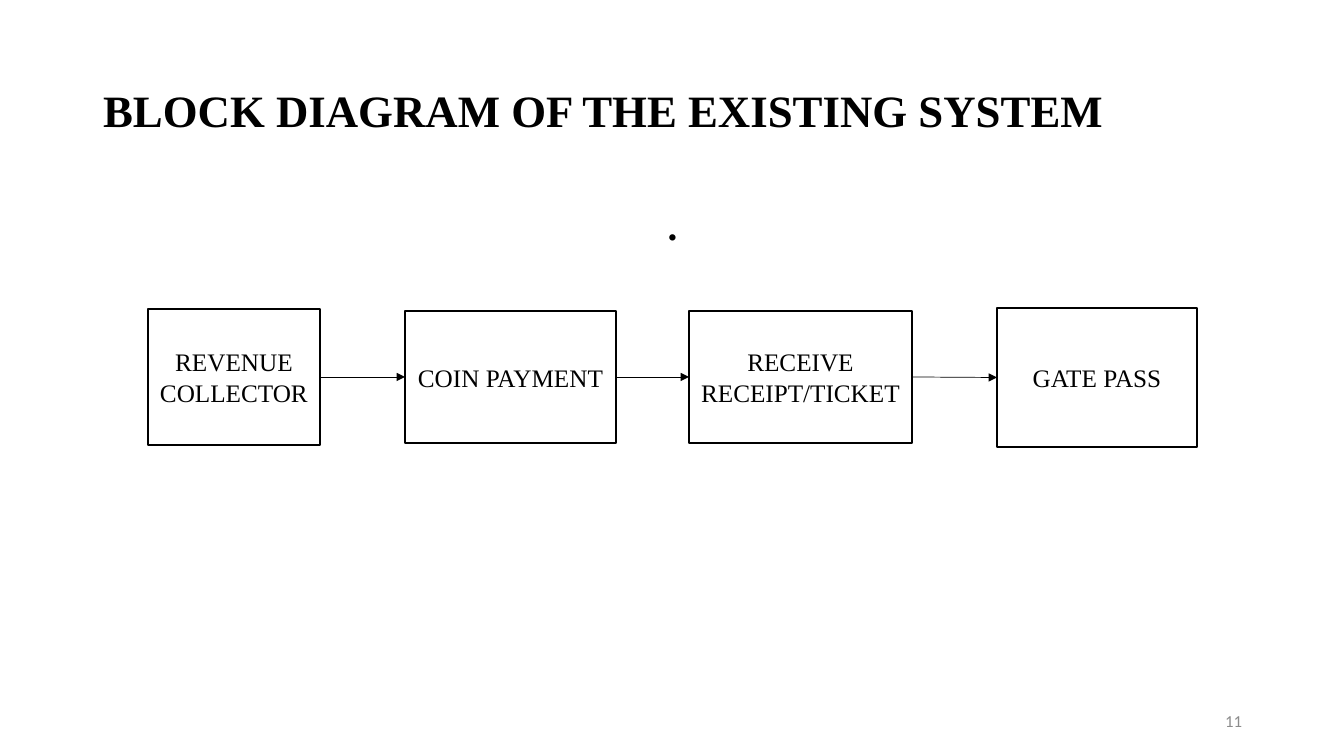
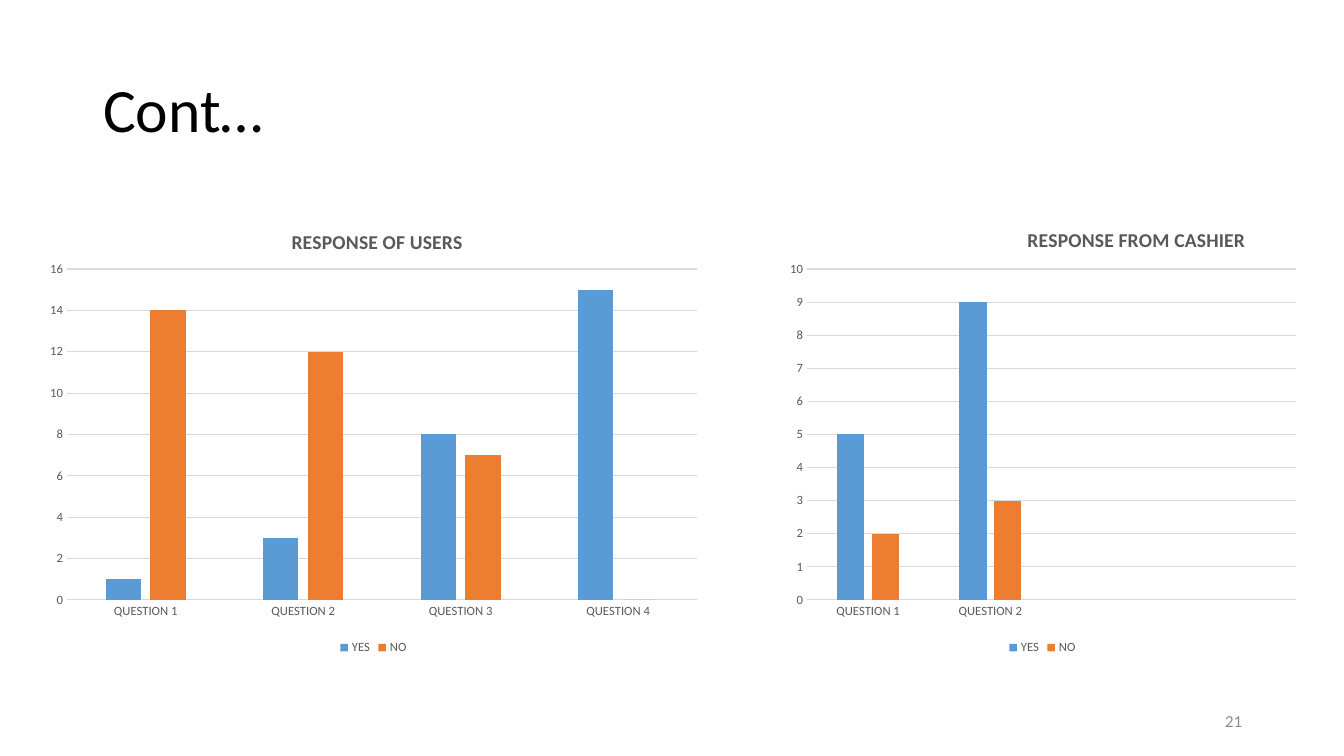
from itertools import pairwise

from lxml.etree import SubElement
from pptx import Presentation
from pptx.chart.data import CategoryChartData
from pptx.dml.color import RGBColor
from pptx.enum.chart import XL_CHART_TYPE as ChartType
from pptx.enum.chart import XL_LEGEND_POSITION as LegendPosition
from pptx.enum.chart import XL_TICK_MARK as TickMark
from pptx.enum.shapes import MSO_CONNECTOR as Connector
from pptx.enum.shapes import MSO_SHAPE as Shape
from pptx.enum.text import MSO_ANCHOR as Anchor
from pptx.enum.text import PP_ALIGN as Align
from pptx.oxml.ns import qn
from pptx.util import Emu, Pt

# Shared style
PX = 914400 / 100.8
SANS, SERIF = "Calibri", "Times New Roman"
BLACK, WHITE = "000000", "FFFFFF"
CHART_TEXT, GRID, NUMBER_GREY = "595959", "D9D9D9", "8C8C8C"
SERIES_COLORS = ["5B9BD5", "ED7D31"]
RIGHT_SITE, LEFT_SITE = 3, 1

color = RGBColor.from_string


def px(*lengths):
    return [Emu(round(length * PX)) for length in lengths]


def write(shape, text, size, font, ink=BLACK, bold=False, align=Align.LEFT,
          anchor=Anchor.MIDDLE, spacing=1.0):
    frame = shape.text_frame
    frame.word_wrap = True
    frame.vertical_anchor = anchor
    para = frame.paragraphs[0]
    para.alignment = align
    para.line_spacing = spacing
    span = para.add_run()
    span.text = text
    span.font.size = Pt(size)
    span.font.name = font
    span.font.bold = bold
    span.font.color.rgb = color(ink)


deck = Presentation()
deck.slide_width, deck.slide_height = px(1344, 756)

# Pages with title and number
pages = []
for heading, size, font, bold, number in [
    ("BLOCK DIAGRAM OF THE EXISTING SYSTEM", 32, SERIF, True, "11"),
    ("Cont…", 44, SANS, False, "21"),
]:
    page = deck.slides.add_slide(deck.slide_layouts[5])
    title = page.shapes.title
    title.left, title.top, title.width, title.height = px(93, 40, 1159, 146)
    write(title, heading, size, font, bold=bold, spacing=0.9)
    number_box = page.shapes.add_textbox(*px(950, 701, 302, 40))
    write(number_box, number, 12, SANS, NUMBER_GREY, align=Align.RIGHT)
    pages.append(page)
diagram_page, chart_page = pages

# Body text above the diagram
body = diagram_page.shapes.add_textbox(*px(93, 202, 1159, 60))
write(body, ".", 28, SERIF, bold=True, align=Align.CENTER,
      anchor=Anchor.TOP, spacing=0.9)

# Block diagram: boxes centred on one line
MIDDLE = 377
boxes = []
for label, left, width, height in [
    ("REVENUE COLLECTOR", 148, 172, 136),
    ("COIN PAYMENT", 405, 211, 132),
    ("RECEIVE RECEIPT/TICKET", 689, 223, 132),
    ("GATE PASS", 997, 200, 139),
]:
    box = diagram_page.shapes.add_shape(
        Shape.RECTANGLE, *px(left, MIDDLE - height // 2, width, height))
    box.shadow.inherit = False
    box.fill.solid()
    box.fill.fore_color.rgb = color(WHITE)
    box.line.color.rgb = color(BLACK)
    box.line.width = Pt(1)
    write(box, label, 18, SERIF, align=Align.CENTER)
    boxes.append(box)

# Arrows from each box to the next
for source, target in pairwise(boxes):
    arrow = diagram_page.shapes.add_connector(Connector.STRAIGHT, 0, 0, 0, 0)
    arrow.begin_connect(source, RIGHT_SITE)
    arrow.end_connect(target, LEFT_SITE)
    arrow.line.color.rgb = color(BLACK)
    arrow.line.width = Pt(0.5)
    properties = arrow._element.spPr
    SubElement(properties.find(qn("a:ln")), qn("a:tailEnd"), type="triangle")
    SubElement(properties, qn("a:effectLst"))

# Charts
CHART_TOP, CHART_HEIGHT = 205, 454
PLOT_TOP, PLOT_HEIGHT = 269, 331
for heading, left, width, title_at, plot_left, plot_width, top, step, cats, yes, no in [
    ("RESPONSE OF USERS", 37, 673, (288, 225), 67, 630, 16, 2,
     ["QUESTION 1", "QUESTION 2", "QUESTION 3", "QUESTION 4"],
     [1, 3, 8, 15], [14, 12, 7, 0]),
    ("RESPONSE FROM CASHIER", 778, 529, (1024, 223), 807, 489, 10, 1,
     ["QUESTION 1", "QUESTION 2", "", ""],
     [5, 9, None, None], [2, 3, None, None]),
]:
    data = CategoryChartData()
    data.categories = cats
    data.add_series("YES", yes)
    data.add_series("NO", no)
    chart = chart_page.shapes.add_chart(
        ChartType.COLUMN_CLUSTERED,
        *px(left, CHART_TOP, width, CHART_HEIGHT), data).chart
    chart.font.name = SANS
    chart.font.size = Pt(9)
    chart.font.color.rgb = color(CHART_TEXT)
    chart.has_title = True
    write(chart.chart_title, heading, 14, SANS, CHART_TEXT, bold=True,
          align=Align.CENTER)
    chart.has_legend = True
    chart.legend.position = LegendPosition.BOTTOM
    chart.legend.include_in_layout = False

    # Columns
    plot = chart.plots[0]
    plot.gap_width = 219
    plot.overlap = -27
    plot.vary_by_categories = False
    for series, ink in zip(plot.series, SERIES_COLORS):
        series.format.fill.solid()
        series.format.fill.fore_color.rgb = color(ink)

    # Axes
    values = chart.value_axis
    values.minimum_scale, values.maximum_scale = 0, top
    values.major_unit = step
    values.format.line.fill.background()
    for axis in (chart.category_axis, values):
        axis.major_tick_mark = axis.minor_tick_mark = TickMark.NONE
    for line in (chart.category_axis.format.line,
                 values.major_gridlines.format.line):
        line.color.rgb = color(GRID)
        line.width = Pt(0.75)

    # Fixed places of title and plot, as fractions of the chart
    title_x, title_y = title_at
    plot_area = chart._chartSpace.chart.plotArea
    for parent, index, part_left, part_top, size in [
        (chart.chart_title._element, 1, title_x, title_y, {}),
        (plot_area, 0, plot_left, PLOT_TOP,
         {"w": plot_width / width, "h": PLOT_HEIGHT / CHART_HEIGHT}),
    ]:
        for old in parent.findall(qn("c:layout")):
            parent.remove(old)
        layout = SubElement(parent, qn("c:layout"))
        parent.insert(index, layout)
        manual = SubElement(layout, qn("c:manualLayout"))
        if size:
            SubElement(manual, qn("c:layoutTarget"), val="inner")
        places = {"xMode": "edge", "yMode": "edge",
                  "x": (part_left - left) / width,
                  "y": (part_top - CHART_TOP) / CHART_HEIGHT, **size}
        for name, value in places.items():
            SubElement(manual, qn(f"c:{name}"), val=str(value))

deck.save("out.pptx")
